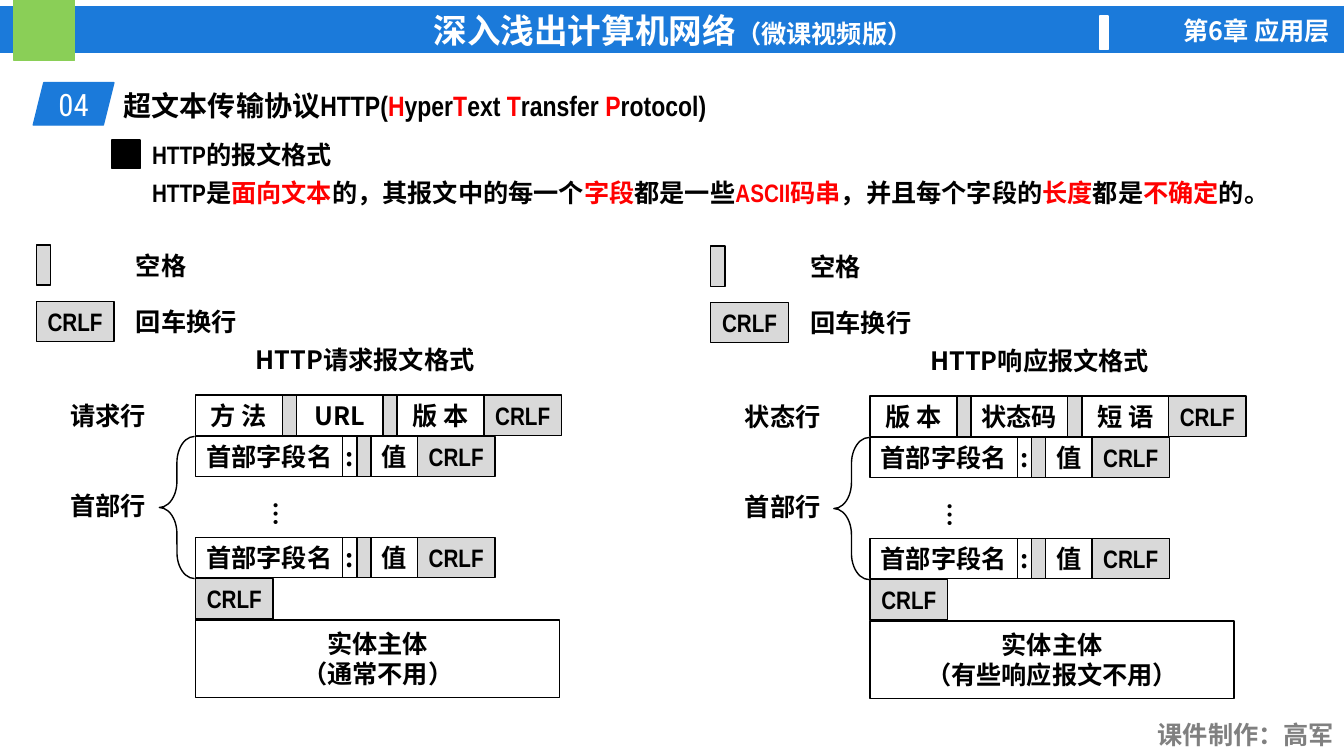
"""Build the slide on HTTP request and response message formats."""
from dataclasses import dataclass

from lxml import etree
from pptx import Presentation
from pptx import util as u
from pptx.dml.color import RGBColor
from pptx.enum import shapes, text
from pptx.oxml import ns


@dataclass(frozen=True)
class Theme:
    """Colours, fonts and type sizes of the slide."""
    blue: str = "1B7ADA"
    green: str = "8ACF57"
    white: str = "FFFFFF"
    black: str = "000000"
    red: str = "FF0000"
    gray: str = "D9D9D9"
    credit: str = "808080"
    narrow: str = "Arial Narrow"
    cjk: str = "Noto Sans CJK SC"
    condensed: str = "Roboto Condensed"
    title: int = 24
    number: int = 22
    heading: int = 20
    body: int = 18


THEME = Theme()


@dataclass(frozen=True)
class Span:
    """A run of text with its look."""
    words: str
    font: str = THEME.cjk
    size: int = THEME.body
    color: str = THEME.black
    bold: bool = True


@dataclass(frozen=True)
class Area:
    """A rectangle in inches."""
    left: float
    top: float
    width: float
    height: float

    def lengths(self) -> list:
        """Give the four lengths that python-pptx expects."""
        return [u.Inches(v) for v in (self.left, self.top, self.width, self.height)]


@dataclass(frozen=True)
class Cell:
    """One field of a message row."""
    words: str
    width: float
    shaded: bool = False


@dataclass(frozen=True)
class Message:
    """One message format diagram."""
    left: float
    top: float
    caption: str
    start_label: str
    start_row: tuple[Cell, ...]
    body_note: str


ROW = 0.4
SPACE = Cell("", 0.14, True)
CRLF = Cell("CRLF", 0.77, True)
HEADER_ROW = (Cell("首部字段名", 1.46), Cell(":", 0.14), SPACE, Cell("值", 0.46), CRLF)

MESSAGES = (
    Message(0, 0, "HTTP请求报文格式", "请求行",
            (Cell("方 法", 0.86), SPACE, Cell("URL", 0.86), SPACE, Cell("版 本", 0.86), CRLF),
            "（通常不用）"),
    Message(6.69, 0.01, "HTTP响应报文格式", "状态行",
            (Cell("版 本", 0.86), SPACE, Cell("状态码", 0.96), SPACE, Cell("短 语", 0.86), CRLF),
            "（有些响应报文不用）"),
)


def write(box, paragraphs: list[list[Span]], align=text.PP_ALIGN.LEFT) -> None:
    """Fill a box with paragraphs made of spans."""
    frame = box.text_frame
    frame.vertical_anchor = text.MSO_ANCHOR.MIDDLE
    for index, spans in enumerate(paragraphs):
        para = frame.add_paragraph() if index else frame.paragraphs[0]
        para.alignment = align
        for span in spans:
            run = para.add_run()
            run.text = span.words
            run.font.name = span.font
            run.font.size = u.Pt(span.size)
            run.font.bold = span.bold
            run.font.color.rgb = RGBColor.from_string(span.color)
            latin = run.font._element.find(ns.qn("a:latin"))
            east = etree.Element(ns.qn("a:ea"), typeface=THEME.cjk)
            latin.addnext(east)


def add_block(page, kind, area: Area, fill: str | None = None, line: str = THEME.black):
    """Draw a preset shape with a thin line and an optional fill."""
    block = page.shapes.add_shape(kind, *area.lengths())
    block.shadow.inherit = False
    if fill:
        block.fill.solid()
        block.fill.fore_color.rgb = RGBColor.from_string(fill)
    else:
        block.fill.background()
    block.line.color.rgb = RGBColor.from_string(line)
    block.line.width = u.Pt(1)
    frame = block.text_frame
    frame.word_wrap = False
    frame.margin_left = frame.margin_right = 0
    frame.margin_top = frame.margin_bottom = 0
    return block


def add_label(page, area: Area, spans: list[Span], align=text.PP_ALIGN.LEFT):
    """Place a one-line text box."""
    box = page.shapes.add_textbox(*area.lengths())
    box.text_frame.word_wrap = True
    write(box, [spans], align)
    return box


def accented(parts: tuple[str, ...], size: int) -> list[Span]:
    """Turn alternating plain and accented words into spans."""
    colors = (THEME.black, THEME.red)
    return [Span(words, THEME.narrow, size, colors[index % 2])
            for index, words in enumerate(parts)]


def add_row(page, left: float, top: float, cells: tuple[Cell, ...]) -> None:
    """Lay message fields side by side."""
    for cell in cells:
        block = add_block(page, shapes.MSO_SHAPE.RECTANGLE, Area(left, top, cell.width, ROW),
                          THEME.gray if cell.shaded else None)
        if cell.words:
            font = THEME.narrow if cell.shaded else THEME.cjk
            write(block, [[Span(cell.words, font)]], text.PP_ALIGN.CENTER)
        left += cell.width


def add_message(page, message: Message) -> None:
    """Draw the legend and the diagram of one message format."""
    x, y = message.left, message.top
    for cell, meaning, top, width in ((SPACE, "空格", 2.43, 0.87), (CRLF, "回车换行", 2.99, 1.25)):
        add_row(page, x + 0.36, y + top, (cell,))
        add_label(page, Area(x + 1.25, y + top, width, ROW), [Span(meaning)])

    add_label(page, Area(x + 2.44, y + 3.37, 2.5, ROW), [Span(message.caption)])
    for label, top in ((message.start_label, 3.92), ("首部行", 4.81)):
        add_label(page, Area(x + 0.6, y + top, 0.97, ROW), [Span(label)])

    rows = ((message.start_row, 3.92), (HEADER_ROW, 4.33), (HEADER_ROW, 5.33), ((CRLF,), 5.74))
    for cells, top in rows:
        add_row(page, x + 1.94, y + top, cells)

    dots = add_label(page, Area(x + 2.44, y + 4.88, 0.5, 0.25), [Span("…")])
    dots.text_frame.word_wrap = False
    dots.text_frame.vertical_anchor = text.MSO_ANCHOR.TOP
    dots.text_frame._txBody.bodyPr.set("vert", "eaVert")

    brace = add_block(page, shapes.MSO_SHAPE.LEFT_BRACE, Area(x + 1.58, y + 4.33, 0.35, 1.41))
    brace.adjustments[0] = 0.74
    entity = add_block(page, shapes.MSO_SHAPE.RECTANGLE, Area(x + 1.94, y + 6.15, 3.61, 0.77))
    write(entity, [[Span("实体主体")], [Span(message.body_note)]], text.PP_ALIGN.CENTER)


def add_frame(page) -> None:
    """Draw the banner, the chapter name and the credit."""
    rectangle = shapes.MSO_SHAPE.RECTANGLE
    banner = add_block(page, rectangle, Area(0, 0.07, 13.35, 0.45), THEME.blue, THEME.blue)
    write(banner, [[Span("深入浅出计算机网络", THEME.narrow, THEME.title, THEME.white),
                    Span("（微课视频版）", THEME.narrow, THEME.body, THEME.white)]],
          text.PP_ALIGN.CENTER)
    add_block(page, rectangle, Area(0.14, 0, 0.6, 0.6), THEME.green, THEME.green)
    add_block(page, rectangle, Area(10.91, 0.16, 0.08, 0.33), THEME.white, THEME.white)
    add_label(page, Area(11.11, 0.1, 2.18, ROW), [Span("第6章 应用层", color=THEME.white)],
              text.PP_ALIGN.RIGHT)
    add_label(page, Area(11.34, 7.09, 1.99, ROW),
              [Span("课件制作：高军", THEME.narrow, color=THEME.credit)], text.PP_ALIGN.RIGHT)


def add_heading(page) -> None:
    """Draw the section number, the heading and the introduction."""
    badge = add_block(page, shapes.MSO_SHAPE.PARALLELOGRAM, Area(0.33, 0.82, 0.8, 0.42),
                      THEME.blue, THEME.blue)
    write(badge, [[Span("04", THEME.condensed, THEME.number, THEME.white, False)]],
          text.PP_ALIGN.CENTER)
    heading = ("超文本传输协议HTTP(", "H", "yper", "T", "ext ", "T", "ransfer ", "P", "rotocol)")
    add_label(page, Area(1.13, 0.82, 6.19, 0.44), accented(heading, THEME.heading))
    add_block(page, shapes.MSO_SHAPE.RECTANGLE, Area(1.11, 1.39, 0.28, 0.28), THEME.black)
    summary = ("HTTP是", "面向文本", "的，其报文中的每一个", "字段", "都是一些", "ASCII码串",
               "，并且每个字段的", "长度", "都是", "不确定", "的。")
    for parts, top in ((("HTTP的报文格式",), 1.3), (summary, 1.67)):
        add_label(page, Area(1.41, top, 11.59, 0.47), accented(parts, THEME.body))


def main() -> None:
    """Build and save the deck."""
    deck = Presentation()
    deck.slide_width, deck.slide_height = u.Inches(13.33), u.Inches(7.5)
    page = deck.slides.add_slide(deck.slide_layouts[6])
    add_frame(page)
    add_heading(page)
    for message in MESSAGES:
        add_message(page, message)
    deck.save("out.pptx")


if __name__ == "__main__":
    main()
